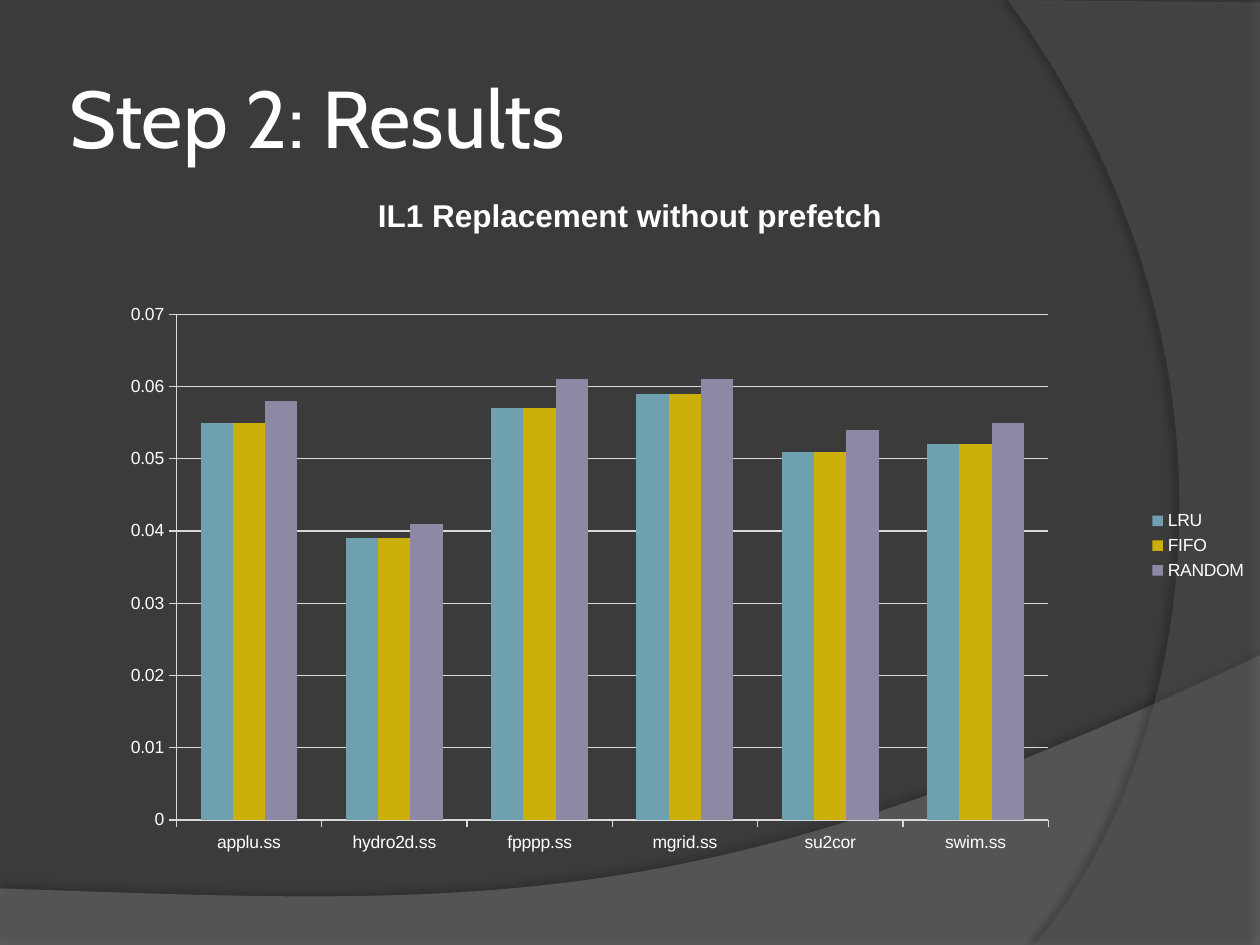
from lxml.etree import SubElement
from pptx import Presentation
from pptx.chart.data import CategoryChartData
from pptx.dml.color import RGBColor
from pptx.enum.chart import XL_CHART_TYPE, XL_LEGEND_POSITION, XL_TICK_MARK
from pptx.enum.text import MSO_ANCHOR
from pptx.oxml import parse_xml
from pptx.oxml.ns import nsdecls, qn
from pptx.util import Cm, Pt


def paint(fill, color, opacity=100):
    fill.solid()
    fill.fore_color.rgb = RGBColor.from_string(color)
    if opacity < 100:
        tint = fill._xPr.find(qn("a:solidFill"))[0]
        SubElement(tint, qn("a:alpha")).set("val", str(opacity * 1000))


def write(frame, text, font="Arial", size=10, color="FFFFFF", bold=False):
    span = frame.paragraphs[0].add_run()
    span.text = text
    span.font.name = font
    span.font.size = Pt(size)
    span.font.bold = bold
    paint(span.font.fill, color)


deck = Presentation()
deck.slide_width = Cm(25.4)
deck.slide_height = Cm(19.05)
page = deck.slides.add_slide(deck.slide_layouts[6])
paint(page.background.fill, "3B3B3B")

waves = [
    ([(0, 17.91), (0, 19.05), (25.4, 19.05)],
     [(25.4, 13.21), (14.2, 18.52), (9.93, 18.26), (0, 17.91)],
     "7F7F7F", 45, 35, 3.5, 270),
    ([(20.32, 0), (25.4, 0.05), (25.4, 19.05)],
     [(20.85, 19.05), (23.75, 15.72), (25.86, 7.62), (20.32, 0)],
     "5E5E5E", 40, 45, 4, 180),
]
steps = 60
for corners, controls, color, opacity, shade, distance, angle in waves:
    outline = list(corners)
    for step in range(steps + 1):
        t = step / steps
        weights = ((1 - t) ** 3, 3 * t * (1 - t) ** 2, 3 * t ** 2 * (1 - t), t ** 3)
        outline.append(tuple(
            sum(w * point[axis] for w, point in zip(weights, controls)) for axis in (0, 1)
        ))
    points = [(Cm(x), Cm(y)) for x, y in outline]
    builder = page.shapes.build_freeform(*points[0])
    builder.add_line_segments(points[1:], close=True)
    wave = builder.convert_to_shape()
    paint(wave.fill, color, opacity)
    wave.line.fill.background()
    wave._element.spPr.append(parse_xml(
        f'<a:effectLst {nsdecls("a")}><a:outerShdw blurRad="{Pt(4)}" dist="{Pt(distance)}" '
        f'dir="{angle * 60000}" algn="ctr" rotWithShape="0"><a:srgbClr val="000000">'
        f'<a:alpha val="{shade * 1000}"/></a:srgbClr></a:outerShdw></a:effectLst>'
    ))

box = page.shapes.add_textbox(Cm(1.27), Cm(0.76), Cm(20.75), Cm(3.18))
frame = box.text_frame
frame.word_wrap = True
frame.vertical_anchor = MSO_ANCHOR.MIDDLE
frame.margin_left = frame.margin_right = Cm(0.13)
write(frame, "Step 2: Results", font="Cabin", size=46)

data = CategoryChartData()
data.categories = ["applu.ss", "hydro2d.ss", "fpppp.ss", "mgrid.ss", "su2cor", "swim.ss"]
steady = (0.055, 0.039, 0.057, 0.059, 0.051, 0.052)
data.add_series("LRU", steady)
data.add_series("FIFO", steady)
data.add_series("RANDOM", (0.058, 0.041, 0.061, 0.061, 0.054, 0.055))
chart = page.shapes.add_chart(
    XL_CHART_TYPE.COLUMN_CLUSTERED, Cm(0), Cm(3.38), Cm(25.4), Cm(15.24), data
).chart
chart.font.name = "Arial"
chart.font.size = Pt(10)
paint(chart.font.fill, "FFFFFF")
chart.has_title = True
write(chart.chart_title.text_frame, "IL1 Replacement without prefetch", size=18, bold=True)
chart.has_legend = True
chart.legend.position = XL_LEGEND_POSITION.RIGHT
chart.legend.include_in_layout = False

plot = chart.plots[0]
plot.gap_width = 150
plot.overlap = 0
plot.vary_by_categories = False
for series, color in zip(plot.series, ("6EA0B0", "CCAF0A", "8D89A4")):
    paint(series.format.fill, color)

scale = chart.value_axis
scale.minimum_scale = 0
scale.maximum_scale = 0.07
scale.major_unit = 0.01
scale.has_major_gridlines = True
for axis in (chart.category_axis, scale):
    axis.major_tick_mark = XL_TICK_MARK.OUTSIDE
for part in (chart.category_axis, scale, scale.major_gridlines):
    paint(part.format.line.fill, "D9D9D9")
    part.format.line.width = Pt(0.75)

area = chart._chartSpace.chart.plotArea
for layout in area.findall(qn("c:layout")):
    area.remove(layout)
area.insert(0, parse_xml(
    f'<c:layout {nsdecls("c")}><c:manualLayout><c:layoutTarget val="inner"/>'
    '<c:xMode val="edge"/><c:yMode val="edge"/><c:x val="0.14"/><c:y val="0.194"/>'
    '<c:w val="0.692"/><c:h val="0.669"/></c:manualLayout></c:layout>'
))

deck.save("out.pptx")
